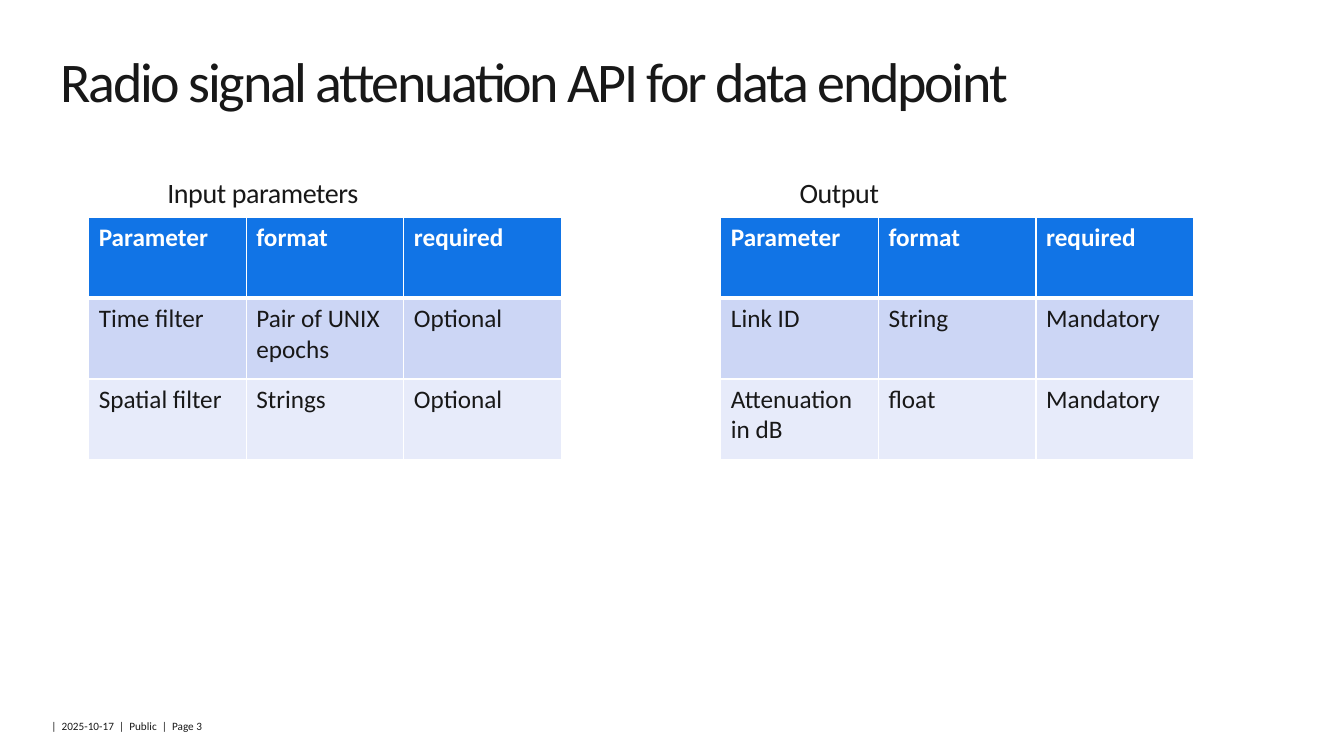
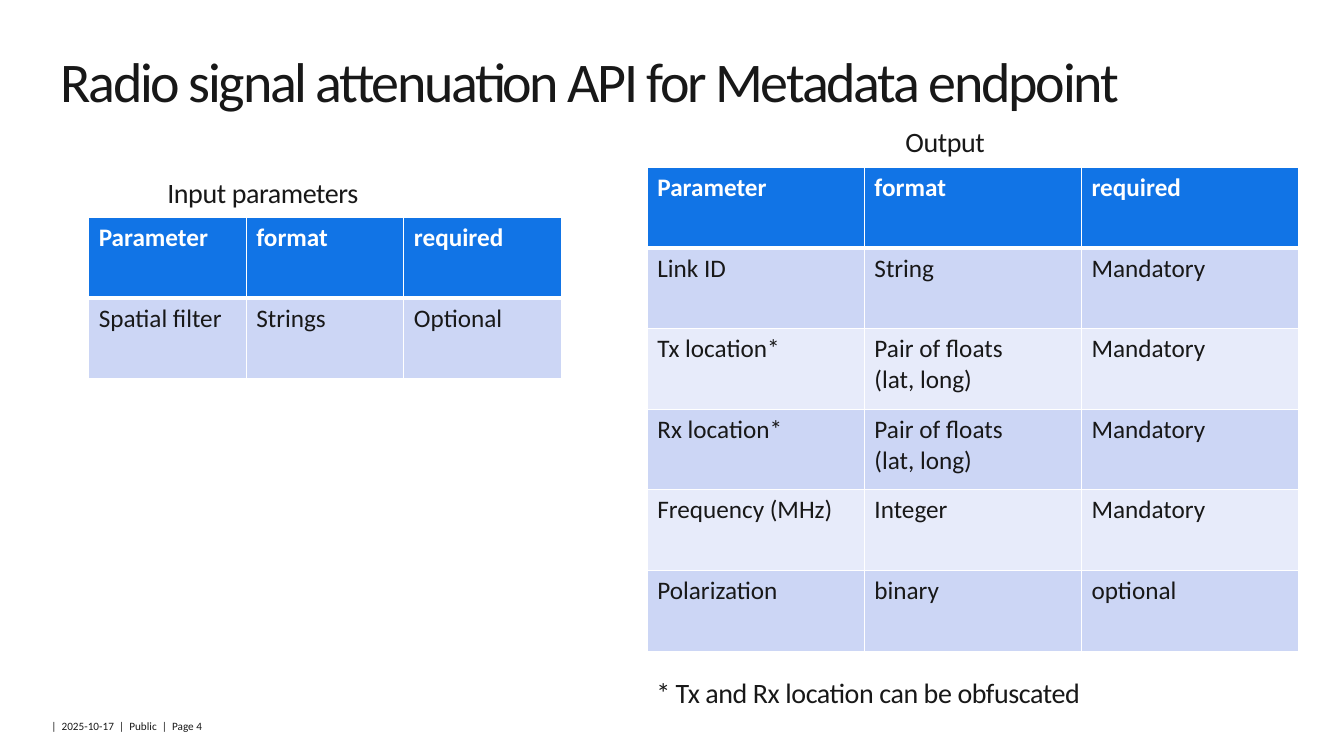
import pptx
import pptx.dml.color
import pptx.enum.text
import pptx.oxml
import pptx.oxml.ns
import pptx.util

Inches = pptx.util.Inches
FONT = "Calibri"
INK, WHITE, BLUE = "181818", "FFFFFF", "1174E6"
BANDS = ["CCD6F5", "E7EBFA"]
HEAD = ["Parameter", "format", "required"]
ROW = 0.8


def color(code):
    return pptx.dml.color.RGBColor.from_string(code)


def add_run(para, text, size, ink=INK, bold=False, track=0):
    run = para.add_run()
    run.text = text
    run.font.name = FONT
    run.font.size = pptx.util.Pt(size)
    run.font.bold = bold
    run.font.color.rgb = color(ink)
    if track:
        run._r.get_or_add_rPr().set("spc", str(round(track * 100)))


def add_text(slide, box, text, size, track=0, before=0, line=None,
             pad=(0.08, 0.04), wrap=True):
    frame = slide.shapes.add_textbox(*map(Inches, box)).text_frame
    frame.word_wrap = wrap
    frame.vertical_anchor = pptx.enum.text.MSO_ANCHOR.TOP
    frame.margin_left = frame.margin_right = Inches(pad[0])
    frame.margin_top = frame.margin_bottom = Inches(pad[1])
    para = frame.paragraphs[0]
    para.space_before = pptx.util.Pt(before)
    if line:
        para.line_spacing = line
    add_run(para, text, size, track=track)


def add_label(slide, box, text):
    add_text(slide, box, text, 20, track=-0.3, before=8)


def set_edges(cell, top, bottom):
    props = cell._tc.get_or_add_tcPr()
    widths = {"lnL": 1, "lnR": 1, "lnT": top, "lnB": bottom}
    for place, (tag, width) in enumerate(widths.items()):
        edge = pptx.oxml.parse_xml(
            f'<a:{tag} {pptx.oxml.ns.nsdecls("a")} w="{pptx.util.Pt(width)}">'
            f'<a:solidFill><a:srgbClr val="{WHITE}"/></a:solidFill></a:{tag}>')
        props.insert(place, edge)


def fill_cell(cell, text, row):
    head = row == 0
    cell.fill.solid()
    cell.fill.fore_color.rgb = color(BLUE if head else BANDS[(row - 1) % 2])
    set_edges(cell, 3 if row == 1 else 1, 3 if head else 1)
    frame = cell.text_frame
    for index, line in enumerate(text.split("\n")):
        para = frame.add_paragraph() if index else frame.paragraphs[0]
        add_run(para, line, 18, WHITE if head else INK, head)


def add_panel(slide, left, top, width, label, shift, body):
    add_label(slide, (left + shift, top - 0.46, 2.53, 0.46), label)
    rows = [HEAD] + body
    grid = slide.shapes.add_table(
        len(rows), len(HEAD), Inches(left), Inches(top),
        Inches(width), Inches(ROW * len(rows))).table
    grid.horz_banding = False
    for col in grid.columns:
        col.width = Inches(width / len(HEAD))
    for row, texts in enumerate(rows):
        grid.rows[row].height = Inches(ROW)
        for col, text in enumerate(texts):
            fill_cell(grid.cell(row, col), text, row)


def add_input(slide, body):
    add_panel(slide, 0.88, 2.16, 4.69, "Input parameters", 0.7, body)


def add_page(deck, title, page):
    slide = deck.slides.add_slide(deck.slide_layouts[6])
    add_text(slide, (0.51, 7.14, 1.66, 0.13),
             f"|  2025-10-17  |  Public  |  Page {page}", 8,
             pad=(0, 0), wrap=False)
    add_text(slide, (0.52, 0.52, 11.86, 1.18), title, 40,
             track=-1.6, before=3, line=0.85)
    return slide


def data_page(deck):
    slide = add_page(deck, "Radio signal attenuation API for data endpoint", 3)
    add_input(slide, [
        ["Time filter", "Pair of UNIX epochs", "Optional"],
        ["Spatial filter", "Strings", "Optional"]])
    add_panel(slide, 7.15, 2.16, 4.69, "Output", 0.7, [
        ["Link ID", "String", "Mandatory"],
        ["Attenuation in dB", "float", "Mandatory"]])


def meta_page(deck):
    slide = add_page(
        deck, "Radio signal attenuation API for Metadata endpoint", 4)
    add_input(slide, [["Spatial filter", "Strings", "Optional"]])
    pair = "Pair of floats\n(lat, long)"
    add_panel(slide, 6.42, 1.66, 6.46, "Output", 2.48, [
        ["Link ID", "String", "Mandatory"],
        ["Tx location*", pair, "Mandatory"],
        ["Rx location*", pair, "Mandatory"],
        ["Frequency (MHz)", "Integer", "Mandatory"],
        ["Polarization", "binary", "optional"]])
    add_label(slide, (6.43, 6.66, 5.67, 0.43),
              "* Tx and Rx location can be obfuscated")


def main():
    deck = pptx.Presentation()
    deck.slide_width = Inches(13.33)
    deck.slide_height = Inches(7.5)
    data_page(deck)
    meta_page(deck)
    deck.save("out.pptx")


if __name__ == "__main__":
    main()
